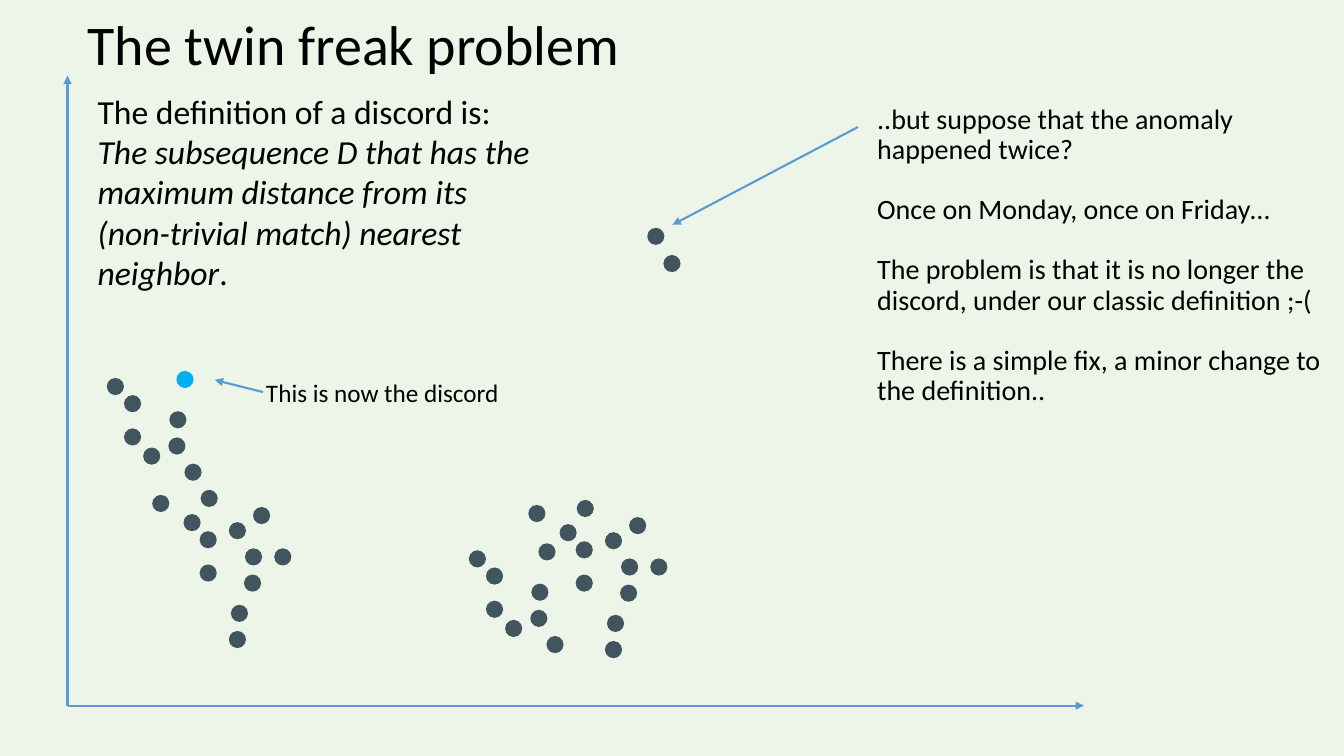
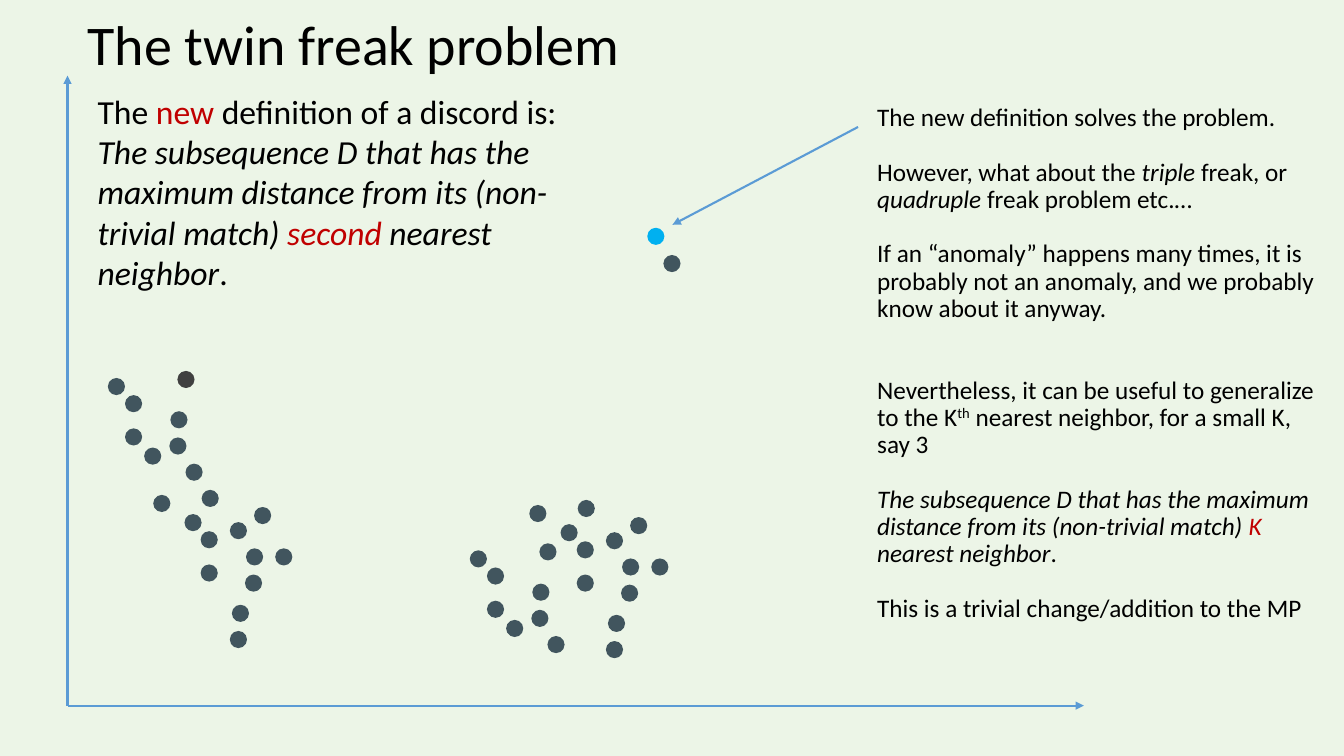
from dataclasses import dataclass

from lxml.etree import SubElement
from pptx import Presentation
from pptx.dml.color import RGBColor
from pptx.enum.shapes import MSO_CONNECTOR, MSO_SHAPE
from pptx.oxml.ns import qn
from pptx.util import Emu, Pt

PX = 9144  # EMU, 100 px to the inch
SLIDE_WIDTH, SLIDE_HEIGHT = 1333, 750

BACKGROUND = RGBColor(0xEC, 0xF5, 0xE7)
BLACK = RGBColor(0, 0, 0)
RED = RGBColor(0xC0, 0, 0)
BLUE_LINE = RGBColor(0x5B, 0x9B, 0xD5)
SLATE = RGBColor(0x41, 0x55, 0x5E)
CHARCOAL = RGBColor(0x40, 0x40, 0x40)
DISCORD_BLUE = RGBColor(0, 0xB0, 0xF0)
FONT = "Calibri"

DOT = 17
ORIGIN = (67, 700)
TWINS = [(642, 226), (658, 253)]
OUTLIER = (175, 368)
STRAND = [(106, 375), (123, 392), (123, 425), (168, 408),
          OUTLIER, (167, 434), (183, 460), (142, 444)]
TRUNK = [(227, 518), (151, 491), (199, 486), (182, 510), (198, 527), (198, 560),
         (272, 544), (243, 544), (251, 503), (227, 626), (242, 570), (229, 600)]
# The right cluster repeats both parts of the left one at these offsets.
STRAND_OFFSET = (359, 171)
TRUNK_OFFSET = (373, 10)


@dataclass
class Span:
    text: str
    italic: bool = False
    color: RGBColor = BLACK
    superscript: bool = False


@dataclass
class Paragraph:
    spans: list
    before: float = 0


def px(*lengths):
    return [Emu(length * PX) for length in lengths]


def add_text(slide, box, paragraphs, size, inset=(0, 0), line_spacing=0.9):
    """Write paragraphs of spans; inset is the (side, top and bottom) margin in px."""
    frame = slide.shapes.add_textbox(*px(*box)).text_frame
    frame.word_wrap = True
    frame.margin_left = frame.margin_right = Emu(inset[0] * PX)
    frame.margin_top = frame.margin_bottom = Emu(inset[1] * PX)
    for index, content in enumerate(paragraphs):
        paragraph = frame.add_paragraph() if index else frame.paragraphs[0]
        paragraph.line_spacing = line_spacing
        if content.before:
            paragraph.space_before = Pt(content.before)
        for span in content.spans:
            run = paragraph.add_run()
            run.text = span.text
            run.font.name = FONT
            run.font.size = Pt(size)
            run.font.italic = span.italic
            run.font.color.rgb = span.color
            if span.superscript:
                run.font._element.set("baseline", "30000")


def add_dot(slide, position, color=SLATE):
    dot = slide.shapes.add_shape(MSO_SHAPE.OVAL, *px(*position, DOT, DOT))
    dot.shadow.inherit = False
    dot.fill.solid()
    dot.fill.fore_color.rgb = color
    dot.line.fill.background()


def add_arrow(slide, start, end):
    arrow = slide.shapes.add_connector(MSO_CONNECTOR.STRAIGHT, *px(*start, *end))
    arrow.line.color.rgb = BLUE_LINE
    arrow.line.width = Pt(1.5)
    SubElement(arrow.line._get_or_add_ln(), qn("a:tailEnd"), type="triangle")
    SubElement(arrow._element.spPr, qn("a:effectLst"))


def shifted(points, dx, dy):
    return [(x + dx, y + dy) for x, y in points]


def add_scatter(slide, highlights, dx=0):
    """Draw axes and dots; dx nudges both clusters, highlights maps dots to colours."""
    add_arrow(slide, ORIGIN, (1075, 700))
    add_arrow(slide, ORIGIN, (67, 75))
    clusters = (STRAND + TRUNK + shifted(STRAND, *STRAND_OFFSET)
                + shifted(TRUNK, *TRUNK_OFFSET))
    for point in clusters:
        add_dot(slide, (point[0] + dx, point[1]), highlights.get(point, SLATE))
    for twin in TWINS:
        add_dot(slide, twin, highlights.get(twin, SLATE))
    add_arrow(slide, (851, 126), (667, 223))


def add_twin_freak_slide(prs, definition, definition_width, notes, notes_size,
                         highlights, dx=0):
    slide = prs.slides.add_slide(prs.slide_layouts[6])
    add_scatter(slide, highlights, dx)
    add_text(slide, (87, 17, 1055, 58),
             [Paragraph([Span("The twin freak problem")])], size=40)
    add_text(slide, (87, 85, definition_width, 212), [Paragraph(definition)],
             size=24, inset=(10, 5), line_spacing=1)
    add_text(slide, (870, 104, 447, 580), notes, notes_size)
    return slide


def add_problem_slide(prs):
    definition = [
        Span("The definition of a discord is: "),
        Span("The subsequence D that has the maximum distance from its "
             "(non-trivial match) nearest neighbor", italic=True),
        Span("."),
    ]
    gap = 21.5
    notes = [
        Paragraph([Span("..but suppose that the anomaly happened twice?")]),
        Paragraph([Span("Once on Monday, once on Friday…")], gap),
        Paragraph([Span("The problem is that it is no longer the discord, "
                        "under our classic definition ;-(")], gap),
        Paragraph([Span("There is a simple fix, a minor change to the definition..")], gap),
    ]
    slide = add_twin_freak_slide(prs, definition, 457, notes, 20,
                                 {OUTLIER: DISCORD_BLUE})
    add_arrow(slide, (261, 389), (213, 377))
    add_text(slide, (254, 369, 270, 40), [Paragraph([Span("This is now the discord")])],
             size=18, inset=(10, 5), line_spacing=1)


def add_solution_slide(prs):
    maximum_distance = Span("The subsequence D that has the maximum distance from its "
                            "(non-trivial match) ", italic=True)
    nearest_neighbor = [Span(" nearest neighbor", italic=True), Span(".")]
    definition = [
        Span("The "), Span("new", color=RED), Span(" definition of a discord is: "),
        maximum_distance, Span("second", italic=True, color=RED), *nearest_neighbor,
    ]
    gap = 19.5
    notes = [
        Paragraph([Span("The new definition solves the problem.")]),
        Paragraph([Span("However, what about the "), Span("triple", italic=True),
                   Span(" freak, or "), Span("quadruple", italic=True),
                   Span(" freak problem etc.…")], gap),
        Paragraph([Span("If an “anomaly” happens many times, it is probably not an "
                        "anomaly, and we probably know about it anyway.")], gap),
        Paragraph([Span("Nevertheless, it can be useful to generalize to the K"),
                   Span("th", superscript=True),
                   Span(" nearest neighbor, for a small K, say 3")], 2 * gap),
        Paragraph([maximum_distance, Span("K", italic=True, color=RED),
                   *nearest_neighbor], gap),
        Paragraph([Span("This is a trivial change/addition to the MP")], gap),
    ]
    add_twin_freak_slide(prs, definition, 487, notes, 18,
                         {OUTLIER: CHARCOAL, TWINS[0]: DISCORD_BLUE}, dx=1)


def main():
    prs = Presentation()
    prs.slide_width, prs.slide_height = px(SLIDE_WIDTH, SLIDE_HEIGHT)
    backdrop = prs.slide_master.background.fill
    backdrop.solid()
    backdrop.fore_color.rgb = BACKGROUND
    add_problem_slide(prs)
    add_solution_slide(prs)
    prs.save("out.pptx")


if __name__ == "__main__":
    main()
